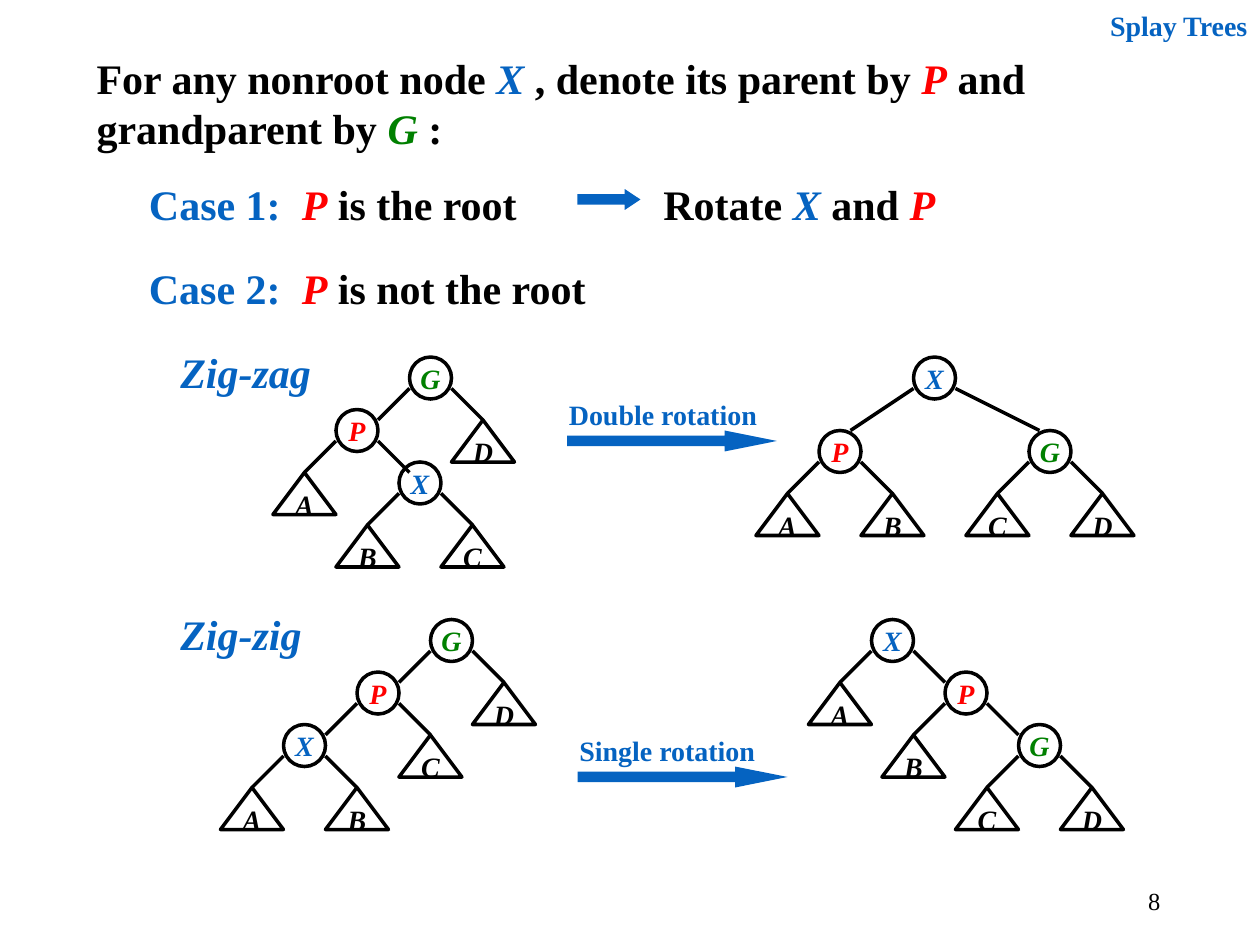
from lxml import etree
from pptx import Presentation
from pptx.dml.color import RGBColor
from pptx.enum.shapes import MSO_CONNECTOR, MSO_SHAPE
from pptx.enum.text import MSO_ANCHOR, MSO_AUTO_SIZE, PP_ALIGN
from pptx.oxml.ns import qn
from pptx.util import Pt

# Content: spans are (text, role); positions are in grid units of 6 points
TITLE = [("Splay Trees", "accent")]
INTRO = [("For any nonroot node ", "text"), ("X", "X"),
         (" , denote its parent by ", "text"), ("P", "P"),
         (" and grandparent by ", "text"), ("G ", "G"), (":", "text")]
STATEMENTS = [  # left, top, width, spans
    (13, 16, 44, [("Case 1:\t", "accent"), ("P", "P"), (" is the root", "text")]),
    (62, 16, 32, [("Rotate ", "text"), ("X", "X"), (" and ", "text"), ("P", "P")]),
    (13, 24, 53, [("Case 2:\t", "accent"), ("P", "P"), (" is not the root", "text")]),
    (16, 32, 17, [("Zig-zag", "heading")]),
    (16, 57, 17, [("Zig-zig", "heading")]),
]
ROTATIONS = [(53, 37, "Double rotation"), (54, 69, "Single rotation")]
ARROWS = [(55, 18, 6, 0.75), (54, 41, 20, 2.5), (55, 73, 20, 2.5)]
PAGE_NUMBER = [("8", "number")]

# Each node: name, left, top, left child, right child.
# A child is a leaf letter, None for an adjacent node, or the far end of its edge.
TREES = [
    [("G", 39, 34, None, "D"), ("P", 32, 39, "A", None), ("X", 38, 44, "B", "C")],
    [("X", 87, 34, (81, 41), (99, 41)), ("P", 78, 41, "A", "B"), ("G", 98, 41, "C", "D")],
    [("G", 41, 59, None, "D"), ("P", 34, 64, None, "C"), ("X", 27, 69, "A", "B")],
    [("X", 83, 59, "A", None), ("P", 90, 64, "B", None), ("G", 97, 69, "C", "D")],
]

THEME = {
    "font": "Times New Roman",
    "large": 24, "small": 16, "number": 14,
    "ink": "000000", "accent": "0563C1", "line": 2,
    "roles": {  # colour, bold, italic
        "text": ("000000", True, False),
        "accent": ("0563C1", True, False),
        "heading": ("0563C1", True, True),
        "leaf": ("000000", True, True),
        "number": ("000000", False, False),
        "X": ("0563C1", True, True),
        "P": ("FF0000", True, True),
        "G": ("008000", True, True),
    },
}
UNIT = 6
NODE = 4
LEAF_WIDTH = 6
CASE_TAB = 87.4


def grid(*values):
    return [Pt(round(value * UNIT, 2)) for value in values]


def colour(name):
    return RGBColor.from_string(name)


def set_all(target, values):
    for name, value in values.items():
        setattr(target, name, value)


def write(shape, spans, size, align=PP_ALIGN.LEFT, **frame_format):
    frame = shape.text_frame
    set_all(frame, {"word_wrap": True, "auto_size": MSO_AUTO_SIZE.NONE,
                    "vertical_anchor": MSO_ANCHOR.TOP, **frame_format})
    para = frame.paragraphs[0]
    set_all(para, {"alignment": align, "space_before": Pt(0)})
    for text, role in spans:
        span = para.add_run()
        span.text = text
        ink, bold, italic = THEME["roles"][role]
        set_all(span.font, {"name": THEME["font"], "size": Pt(size),
                            "bold": bold, "italic": italic})
        span.font.color.rgb = colour(ink)
    return para


def place(shape, *position):
    set_all(shape, dict(zip(("left", "top", "width", "height"), grid(*position))))


def add_edge(shapes, start, end):
    edge = shapes.add_connector(MSO_CONNECTOR.STRAIGHT, *grid(*start, *end))
    edge.line.width = Pt(THEME["line"])
    edge.line.color.rgb = colour(THEME["ink"])
    etree.SubElement(edge._element.spPr, qn("a:effectLst"))


def add_outline(shapes, kind, position, label, role):
    shape = shapes.add_shape(kind, *grid(*position))
    shape.shadow.inherit = False
    shape.fill.background()
    shape.line.width = Pt(THEME["line"])
    shape.line.color.rgb = colour(THEME["ink"])
    write(shape, [(label, role)], THEME["small"], PP_ALIGN.CENTER,
          word_wrap=False, vertical_anchor=MSO_ANCHOR.MIDDLE)


def add_tree(page, nodes):
    shapes = page.shapes.add_group_shape().shapes
    for name, left, top, *children in nodes:
        add_outline(shapes, MSO_SHAPE.OVAL, (left, top, NODE, NODE), name, name)
        for child, side, start in zip(children, (-1, 1), (left, left + NODE)):
            end = child if isinstance(child, tuple) else (start + 3 * side, top + 6)
            add_edge(shapes, (start, top + 3), end)
            if isinstance(child, str):
                corner = (end[0] - LEAF_WIDTH / 2, end[1], LEAF_WIDTH, NODE)
                add_outline(shapes, MSO_SHAPE.ISOSCELES_TRIANGLE, corner, child, "leaf")


def add_arrow(page, left, top, width, head):
    arrow = page.shapes.add_shape(MSO_SHAPE.RIGHT_ARROW, *grid(left, top, width, 2))
    arrow.adjustments[0], arrow.adjustments[1] = 0.5, head
    arrow.shadow.inherit = False
    arrow.fill.solid()
    arrow.fill.fore_color.rgb = colour(THEME["accent"])
    arrow.line.fill.background()


def main():
    deck = Presentation()
    deck.slide_width, deck.slide_height = grid(120, 90)
    page = deck.slides.add_slide(deck.slide_layouts[1])

    # Title and introduction
    title, body = page.placeholders
    place(title, 59, 0, 61, 4.4)
    write(title, TITLE, THEME["small"], PP_ALIGN.RIGHT, margin_top=Pt(5))
    place(body, 8, 4, 99, 11)
    para = write(body, INTRO, THEME["large"], margin_top=Pt(6))
    properties = para._p.get_or_add_pPr()
    set_values = {"marL": "0", "indent": "0"}
    for name, value in set_values.items():
        properties.set(name, value)
    etree.SubElement(properties, qn("a:buNone"))

    # Cases and case headings
    for left, top, width, spans in STATEMENTS:
        box = page.shapes.add_textbox(*grid(left, top, width, 6))
        para = write(box, spans, THEME["large"], margin_top=Pt(6))
        if "\t" in spans[0][0]:
            tabs = etree.SubElement(para._p.get_or_add_pPr(), qn("a:tabLst"))
            etree.SubElement(tabs, qn("a:tab"), pos=str(Pt(CASE_TAB)), algn="l")

    # Arrows and their labels
    for arrow in ARROWS:
        add_arrow(page, *arrow)
    for left, top, label in ROTATIONS:
        box = page.shapes.add_textbox(*grid(left, top, 21, 4.4))
        write(box, [(label, "accent")], THEME["small"], margin_top=Pt(5))

    # Trees before and after each rotation
    for nodes in TREES:
        add_tree(page, nodes)

    # Page number
    box = page.shapes.add_textbox(*grid(84.7, 83.4, 27, 4.8))
    write(box, PAGE_NUMBER, THEME["number"], PP_ALIGN.RIGHT,
          vertical_anchor=MSO_ANCHOR.MIDDLE)

    deck.save("out.pptx")


if __name__ == "__main__":
    main()
